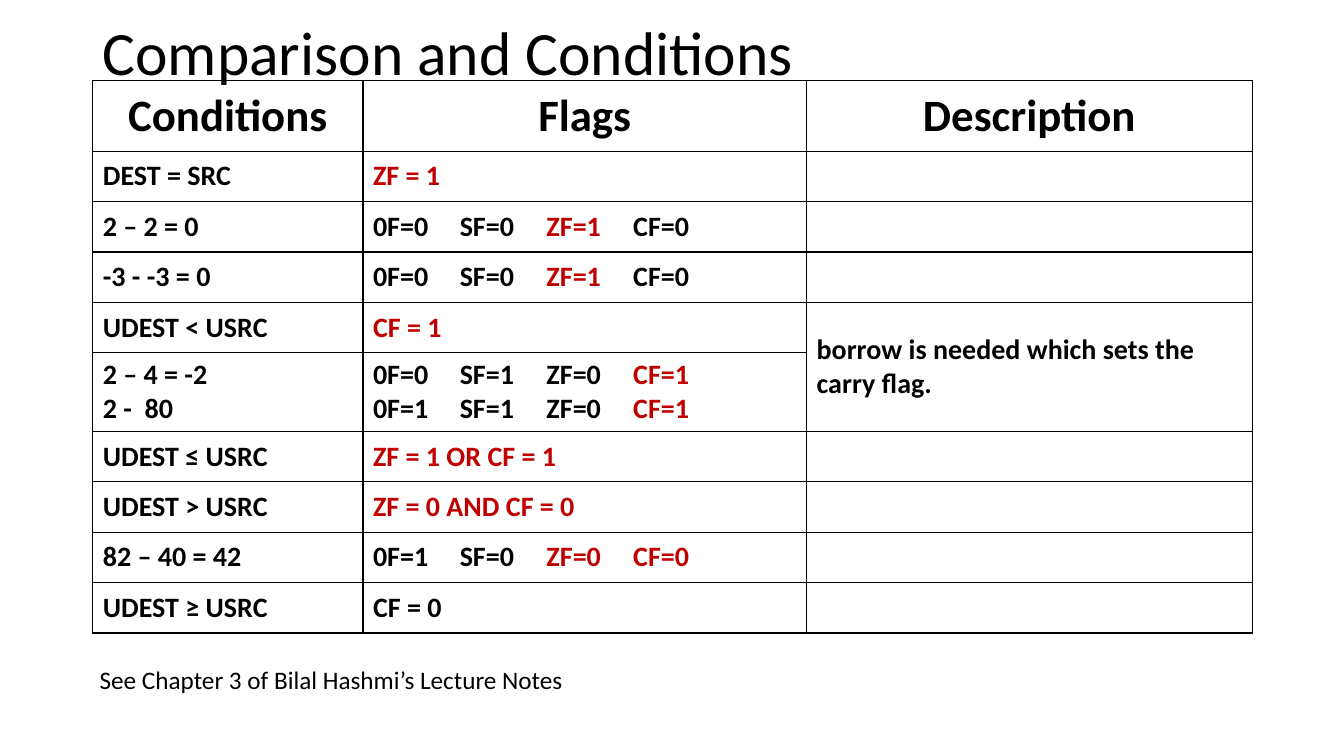
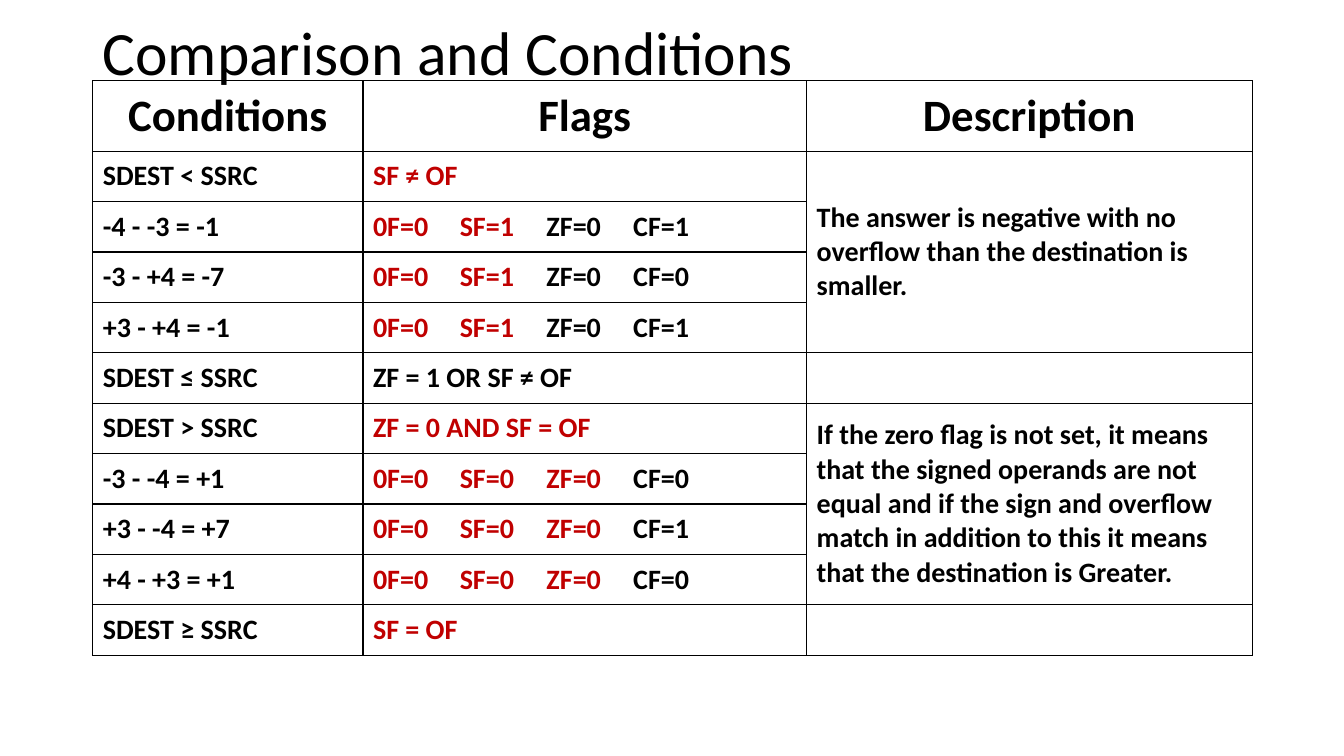
"""Build two slides that tabulate comparison conditions and the flags they set."""
from lxml import etree
from pptx import Presentation
from pptx import util as u
from pptx.dml.color import RGBColor
from pptx.enum import text
from pptx.oxml import ns

FONT, BLACK, RED = "Calibri", "000000", "C00000"
TITLE = "Comparison and Conditions"
HEADERS = ["Conditions", "Flags", "Description"]
LEFT, WIDTH, TABLE_TOP = 0.92, 11.5, 0.8
COLUMNS = [2.68, 4.4, 4.42]
HEADER_ROW, LINE_ROW, EXTRA_LINE = 0.7, 0.5, 0.28
FLAG_TAB = 0.86

# A star marks a red flag; a bar moves to the next flag column.
SLIDES = [
    {"rows": [
        ("DEST = SRC", "*ZF = 1"),
        ("2 – 2 = 0", "0F=0|SF=0|*ZF=1|CF=0"),
        ("-3 - -3 = 0", "0F=0|SF=0|*ZF=1|CF=0"),
        ("UDEST < USRC", "*CF = 1"),
        ("2 – 4 = -2\n2 -  80", "0F=0|SF=1|ZF=0|*CF=1\n0F=1|SF=1|ZF=0|*CF=1"),
        ("UDEST ≤ USRC", "*ZF = 1 OR CF = 1"),
        ("UDEST > USRC", "*ZF = 0 AND CF = 0"),
        ("82 – 40 = 42", "0F=1|SF=0|*ZF=0|*CF=0"),
        ("UDEST ≥ USRC", "CF = 0")],
     "descriptions": [(4, 5, "borrow is needed which sets the carry flag.")],
     "note": "See Chapter 3 of Bilal Hashmi’s Lecture Notes"},
    {"rows": [
        ("SDEST < SSRC", "*SF ≠ OF"),
        ("-4 - -3 = -1", "*0F=0|*SF=1|ZF=0|CF=1"),
        ("-3 - +4 = -7", "*0F=0|*SF=1|ZF=0|CF=0"),
        ("+3 - +4 = -1", "*0F=0|*SF=1|ZF=0|CF=1"),
        ("SDEST ≤ SSRC", "ZF = 1 OR SF ≠ OF"),
        ("SDEST > SSRC", "*ZF = 0 AND SF = OF"),
        ("-3 - -4 = +1", "*0F=0|*SF=0|*ZF=0|CF=0"),
        ("+3 - -4 = +7", "*0F=0|*SF=0|*ZF=0|CF=1"),
        ("+4 - +3 = +1", "*0F=0|*SF=0|*ZF=0|CF=0"),
        ("SDEST ≥ SSRC", "*SF = OF")],
     "descriptions": [
        (1, 4, "The answer is negative with no overflow than the destination is smaller."),
        (6, 9, "If the zero flag is not set, it means that the signed operands are not "
               "equal and if the sign and overflow match in addition to this it means "
               "that the destination is Greater.")],
     "note": None},
]


def color(value):
    return RGBColor.from_string(value)


def sub(parent, tag, **attrs):
    return etree.SubElement(parent, ns.qn(tag), attrs)


def style(r, size, bold=False, shade=BLACK):
    r.font.name, r.font.size, r.font.bold = FONT, u.Pt(size), bold
    r.font.color.rgb = color(shade)


def add_text(s, words, box, size, anchor, wrap=True):
    tf = s.shapes.add_textbox(*map(u.Inches, box)).text_frame
    tf.word_wrap, tf.vertical_anchor = wrap, anchor
    tf.text = words
    style(tf.paragraphs[0].runs[0], size)
    return tf


def set_tabs(p):
    tabs = sub(p._p.get_or_add_pPr(), "a:tabLst")
    for i in range(1, 4):
        sub(tabs, "a:tab", pos=str(u.Inches(FLAG_TAB * i)), algn="l")


def fill_cell(cell, words, size=20, align=text.PP_ALIGN.LEFT):
    tf = cell.text_frame
    for i, line in enumerate(words.split("\n")):
        p = tf.add_paragraph() if i else tf.paragraphs[0]
        p.alignment = align
        if "|" in line:
            set_tabs(p)
        for j, part in enumerate(line.split("|")):
            r = p.add_run()
            r.text = ("\t" if j else "") + part.lstrip("*")
            style(r, size, True, RED if part.startswith("*") else BLACK)


def frame_cell(cell):
    cell.vertical_anchor = text.MSO_ANCHOR.MIDDLE
    for side in ("L", "R", "T", "B"):
        ln = sub(cell._tc.get_or_add_tcPr(), "a:ln" + side, w=str(u.Pt(1)))
        sub(sub(ln, "a:solidFill"), "a:srgbClr", val=BLACK)
    cell.fill.background()


def add_flag_table(s, rows, descriptions):
    heights = [HEADER_ROW] + [LINE_ROW + EXTRA_LINE * c.count("\n") for c, _ in rows]
    box = map(u.Inches, (LEFT, TABLE_TOP, WIDTH, sum(heights)))
    table = s.shapes.add_table(len(heights), len(COLUMNS), *box).table
    table.first_row = table.horz_banding = False
    for col, width in zip(table.columns, COLUMNS):
        col.width = u.Inches(width)
    for row, height in zip(table.rows, heights):
        row.height = u.Inches(height)
    for cell in table.iter_cells():
        frame_cell(cell)
    for c, words in enumerate(HEADERS):
        fill_cell(table.cell(0, c), words, 32, text.PP_ALIGN.CENTER)
    for n, row in enumerate(rows, 1):
        for c, words in enumerate(row):
            fill_cell(table.cell(n, c), words)
    for first, last, words in descriptions:
        table.cell(first, 2).merge(table.cell(last, 2))
        fill_cell(table.cell(first, 2), words)


def main():
    prs = Presentation()
    prs.slide_width, prs.slide_height = u.Inches(13.33), u.Inches(7.5)
    for content in SLIDES:
        s = prs.slides.add_slide(prs.slide_layouts[6])
        tf = add_text(s, TITLE, (LEFT, 0, WIDTH, 1.1), 44, text.MSO_ANCHOR.MIDDLE)
        tf.paragraphs[0].line_spacing = 0.9
        add_flag_table(s, content["rows"], content["descriptions"])
        if content["note"]:
            add_text(s, content["note"], (0.89, 6.54, 4.85, 0.4), 18,
                     text.MSO_ANCHOR.TOP, wrap=False)
    prs.save("out.pptx")


if __name__ == "__main__":
    main()
